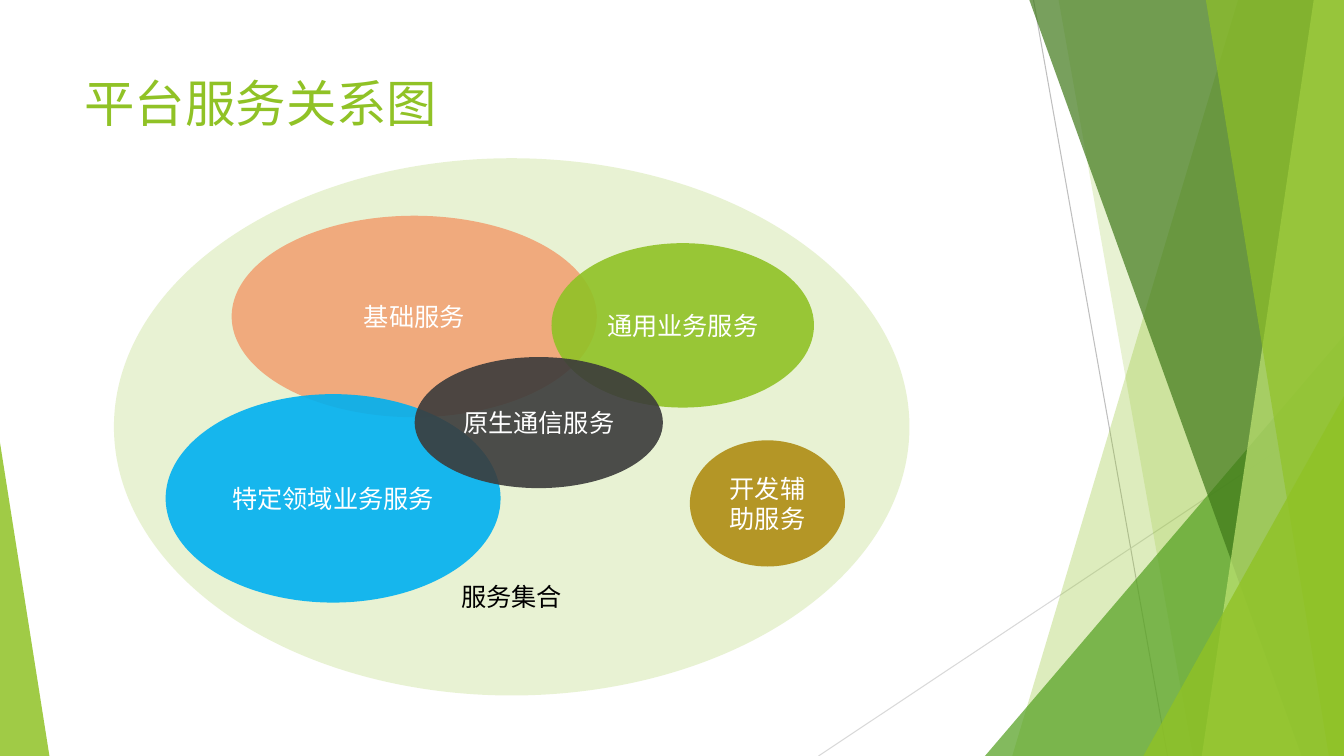
from pptx import Presentation
from pptx.dml.color import RGBColor
from pptx.enum.shapes import MSO_CONNECTOR, MSO_SHAPE
from pptx.enum.text import MSO_ANCHOR, PP_ALIGN
from pptx.oxml.ns import qn
from pptx.util import Inches, Pt
from lxml import etree

ELLIPSE, TRIANGLE = MSO_SHAPE.OVAL, MSO_SHAPE.ISOSCELES_TRIANGLE
STRAIGHT = MSO_CONNECTOR.STRAIGHT
TOP, MIDDLE, BOTTOM = MSO_ANCHOR.TOP, MSO_ANCHOR.MIDDLE, MSO_ANCHOR.BOTTOM
LEFT, CENTER = PP_ALIGN.LEFT, PP_ALIGN.CENTER
FONT = "Roboto"
GREEN = "90C226"
WIDTH, HEIGHT = 13.33, 7.5

# Edge decoration, in percent of the box: top and bottom x of each band,
# left, top and width of each wedge, then colour and opacity
BACK_BANDS = [(92.12, 75.32, GREEN, 30), (78.77, 88.75, GREEN, 20)]
BACK_WEDGES = [(73.29, 44.4, 26.71, 1, "54A021", 72)]
FRONT_BANDS = [(76.59, 96.85, "3F7819", 70), (97.75, 89.42, "C0E474", 70),
               (89.72, 98.87, GREEN, 65)]
FRONT_WEDGES = [(85.07, 52.4, 14.93, 1, GREEN, 80),
                (0, 58.53, 3.68, 0, GREEN, 85)]
RULES = [(76.9, 0, 86.87, 100, "BFBFBF"), (100, 53.73, 60.9, 100, "D9D9D9")]

# Services, in percent of the enclosing ellipse: left, top, width, height
SERVICES = [
    ("基础服务", (14.8, 10.7, 45.9, 37.5), "F1A374"),
    ("通用业务服务", (55, 15.8, 33, 30.6), GREEN),
    ("特定领域业务服务", (6.5, 43.9, 42.1, 38.8), "00B0F0"),
    ("开发辅助服务", (72.4, 52.5, 19.5, 23.5), "AF8C14"),
    ("原生通信服务", (37.8, 37, 31.2, 24.4), "3B3B3B"),
]


def color(hex_code):
    return RGBColor.from_string(hex_code)


def within(box, x, y, w, h):
    """Turn percentages of a box into inches."""
    left, top, width, height = box
    return (left + width * x / 100, top + height * y / 100,
            width * w / 100, height * h / 100)


def paint(sp, fill, opacity):
    sp.shadow.inherit = False
    sp.line.fill.background()
    sp.fill.solid()
    sp.fill.fore_color.rgb = color(fill)
    clr = sp.fill._xPr.find(qn("a:solidFill"))[0]
    etree.SubElement(clr, qn("a:alpha"), val=str(opacity * 1000))


def write(sp, text, size=18, fill="FFFFFF", align=CENTER, anchor=MIDDLE):
    tf = sp.text_frame
    tf.word_wrap = True
    tf.vertical_anchor = anchor
    p = tf.paragraphs[0]
    p.alignment = align
    r = p.add_run()
    r.text = text
    r.font.name = FONT
    r.font.size = Pt(size)
    r.font.color.rgb = color(fill)


def add_preset(slide, kind, box, fill, opacity):
    sp = slide.shapes.add_shape(kind, *map(Inches, box))
    paint(sp, fill, opacity)
    return sp


def add_rule(slide, box, x1, y1, x2, y2, stroke):
    start, end = within(box, x1, y1, 0, 0)[:2], within(box, x2, y2, 0, 0)[:2]
    line = slide.shapes.add_connector(STRAIGHT, *map(Inches, start + end))
    line.line.color.rgb = color(stroke)
    line.line.width = Pt(0.75)
    etree.SubElement(line._element.spPr, qn("a:effectLst"))


def add_band(slide, box, x_top, x_bottom, fill, opacity):
    """Fill from a slanted edge to the right side of the box."""
    corners = [(x_top, 0), (100, 0), (100, 100), (x_bottom, 100)]
    points = [tuple(map(Inches, within(box, x, y, 0, 0)[:2]))
              for x, y in corners]
    builder = slide.shapes.build_freeform(*points[0])
    builder.add_line_segments(points[1:], close=True)
    paint(builder.convert_to_shape(), fill, opacity)


def add_wedge(slide, box, x, y, w, apex, fill, opacity):
    """Triangle standing on the bottom of the box."""
    sp = add_preset(slide, TRIANGLE, within(box, x, y, w, 100 - y), fill, opacity)
    sp.adjustments[0] = apex


def add_decoration(slide, box):
    for rule in RULES:
        add_rule(slide, box, *rule)
    for bands, wedges in ((BACK_BANDS, BACK_WEDGES), (FRONT_BANDS, FRONT_WEDGES)):
        for band in bands:
            add_band(slide, box, *band)
        for wedge in wedges:
            add_wedge(slide, box, *wedge)


def add_title(slide, box, text):
    sp = slide.shapes.add_textbox(*map(Inches, box))
    write(sp, text, size=36, fill=GREEN, align=LEFT, anchor=TOP)


def add_service_map(slide, box):
    whole = add_preset(slide, ELLIPSE, box, GREEN, 20)
    write(whole, "服务集合", fill="000000", anchor=BOTTOM)
    for name, place, fill in SERVICES:
        sp = add_preset(slide, ELLIPSE, within(box, *place), fill, 90)
        write(sp, name)


def main():
    prs = Presentation()
    prs.slide_width, prs.slide_height = Inches(WIDTH), Inches(HEIGHT)
    slide = prs.slides.add_slide(prs.slide_layouts[6])
    add_decoration(slide, (0, 0, WIDTH, HEIGHT))
    add_title(slide, (0.74, 0.67, 9.4, 1.44), "平台服务关系图")
    add_service_map(slide, (1.13, 1.57, 7.89, 5.33))
    prs.save("out.pptx")


if __name__ == "__main__":
    main()
